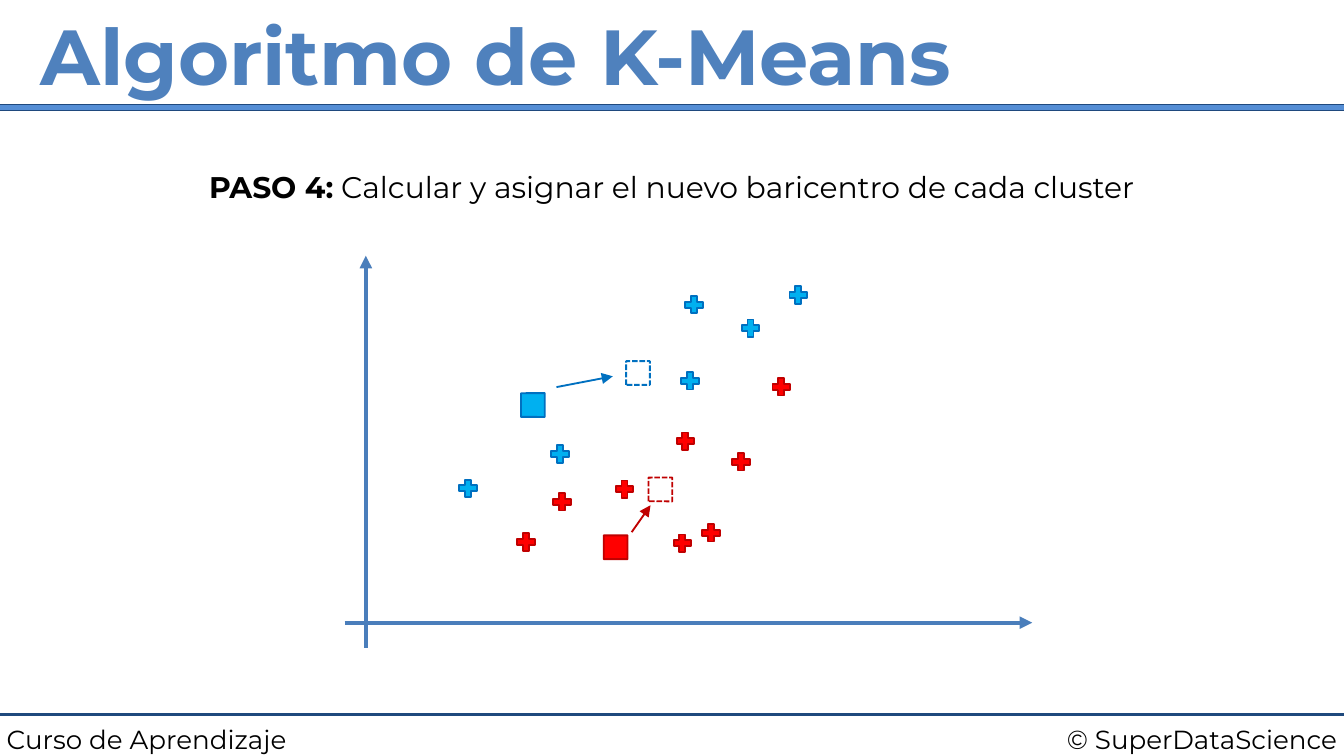
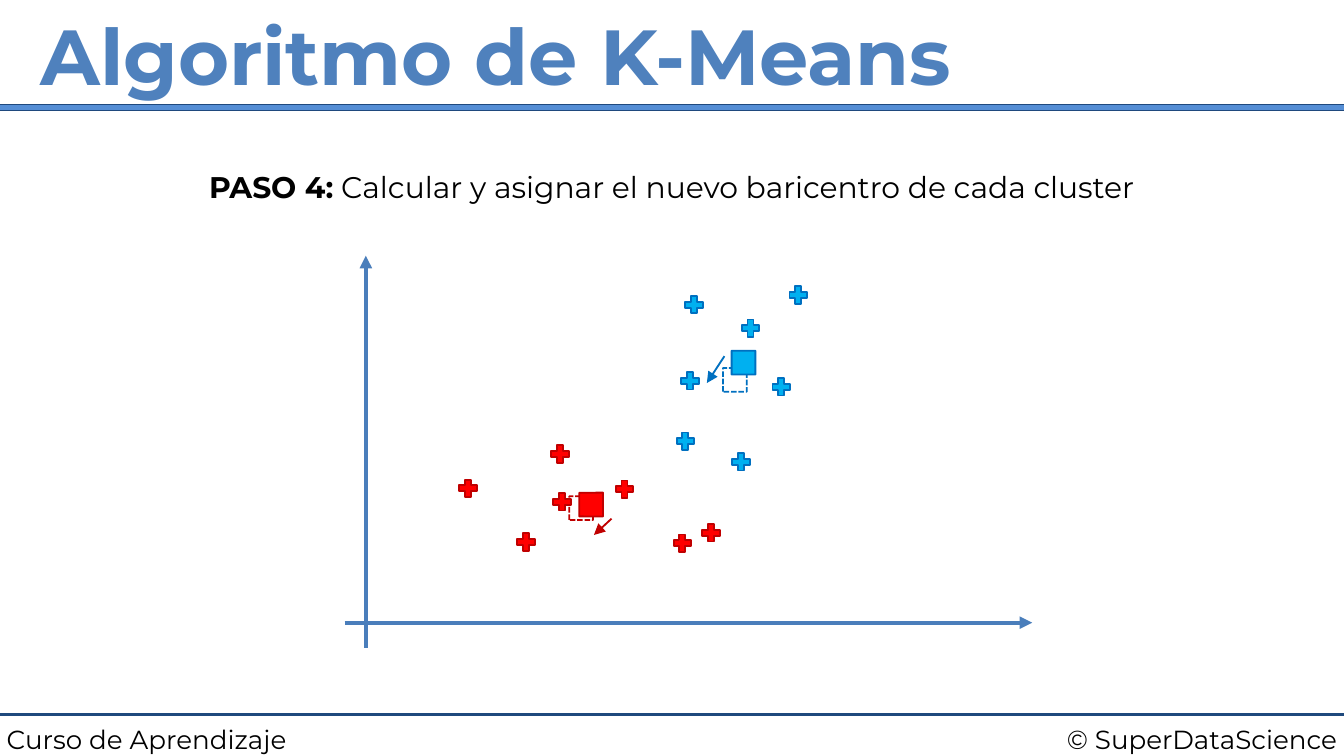
"""Build two slides showing how K-Means moves the centroid of each cluster."""
import pptx
import pptx.dml.color
import pptx.enum.dml
import pptx.enum.shapes
import pptx.enum.text
import pptx.oxml
import pptx.oxml.ns
import pptx.util

Pt = pptx.util.Pt
Shape = pptx.enum.shapes.MSO_SHAPE
Align = pptx.enum.text.PP_ALIGN

FONT = "Montserrat"
CROSS_SIZE = 9.4
CENTROID_SIZE = 18
BLUE = ("00B0F0", "0070C0")
RED = ("FF0000", "C00000")

ALWAYS_BLUE = [(369.6, 204), (402.1, 175.9), (427.7, 158), (371.8, 163.2)]
ALWAYS_RED = [(281.8, 290.4), (381, 285.4), (301, 268.8), (334.6, 262.1), (365.6, 291.1)]
RED_TO_BLUE = [(418.6, 207.2), (367.2, 236.4), (397, 247.4)]
BLUE_TO_RED = [(250.8, 261.7), (300.1, 243.2)]

# Each cluster: colours, points, old centroid, new centroid, arrow start and end
ITERATIONS = [
    [
        (RED, ALWAYS_RED + RED_TO_BLUE, (329.8, 293.2), (353.8, 262.2),
         (338.4, 285.1, 348.5, 270.7)),
        (BLUE, ALWAYS_BLUE + BLUE_TO_RED, (285.5, 217), (341.8, 199.8),
         (298.1, 207.4, 328.3, 201.6)),
    ],
    [
        (RED, ALWAYS_RED + BLUE_TO_RED, (316.7, 270.3), (311.3, 272.2),
         (327.6, 277.9, 318.2, 286.6)),
        (BLUE, ALWAYS_BLUE + RED_TO_BLUE, (398.3, 194.3), (393.7, 203.5),
         (388.1, 190.8, 378.7, 205.2)),
    ],
]

FRAME_TEXTS = [
    (0, 383.8, 234, 24.5, 14, Align.LEFT, [("Curso de Aprendizaje", False)]),
    (510, 383.8, 210, 24.5, 14, Align.RIGHT, [("© SuperDataScience", False)]),
    (0, 86.8, 720, 26, 16, Align.CENTER,
     [("PASO 4:", True), (" Calcular y asignar el nuevo baricentro de cada cluster", False)]),
]


def paint(color_format, color):
    """Set a fill, line or font colour from a hex string."""
    if hasattr(color_format, "solid"):
        color_format.solid()
        color_format = color_format.fore_color
    color_format.rgb = pptx.dml.color.RGBColor.from_string(color)


def add_line(slide, ends, color, width, arrow=True):
    """Draw a straight line, with an arrowhead at its end if asked."""
    line = slide.shapes.add_connector(
        pptx.enum.shapes.MSO_CONNECTOR.STRAIGHT, *map(Pt, ends))
    paint(line.line.fill, color)
    line.line.width = Pt(width)
    if arrow:
        head = pptx.oxml.parse_xml(
            f'<a:tailEnd {pptx.oxml.ns.nsdecls("a")} type="triangle"/>')
        line._element.spPr.find(pptx.oxml.ns.qn("a:ln")).append(head)
    line._element.spPr.append(
        pptx.oxml.parse_xml(f'<a:effectLst {pptx.oxml.ns.nsdecls("a")}/>'))


presentation = pptx.Presentation()
presentation.slide_width = Pt(720)
presentation.slide_height = Pt(405)

for clusters in ITERATIONS:
    slide = presentation.slides.add_slide(presentation.slide_layouts[5])

    title = slide.shapes.title
    title.left, title.top, title.width, title.height = map(Pt, (18, 0, 684, 58))
    frame = title.text_frame
    frame.text = "Algoritmo de K-Means"
    frame.auto_size = pptx.enum.text.MSO_AUTO_SIZE.NONE
    frame.vertical_anchor = pptx.enum.text.MSO_ANCHOR.MIDDLE
    frame.margin_left = frame.margin_right = frame.margin_top = frame.margin_bottom = Pt(3.6)
    paragraph = frame.paragraphs[0]
    paragraph.alignment = Align.LEFT
    paragraph.font.name = FONT
    paragraph.font.size = Pt(41.8)
    paragraph.font.bold = True
    paint(paragraph.font.color, "4F81BD")

    band = slide.shapes.add_shape(Shape.RECTANGLE, *map(Pt, (-3, 56.1, 726, 3.3)))
    band.shadow.inherit = False
    paint(band.fill, "558ED5")
    paint(band.line.fill, "1F497D")
    band.line.width = Pt(0.75)
    add_line(slide, (0, 383, 720, 383), "1F497D", 1.5, arrow=False)

    for left, top, width, height, size, alignment, runs in FRAME_TEXTS:
        box = slide.shapes.add_textbox(*map(Pt, (left, top, width, height)))
        frame = box.text_frame
        frame.word_wrap = True
        frame.auto_size = pptx.enum.text.MSO_AUTO_SIZE.SHAPE_TO_FIT_TEXT
        frame.margin_left = frame.margin_right = frame.margin_top = frame.margin_bottom = Pt(3.6)
        paragraph = frame.paragraphs[0]
        paragraph.alignment = alignment
        paragraph.font.name = FONT
        paragraph.font.size = Pt(size)
        paint(paragraph.font.color, "000000")
        for text, bold in runs:
            run = paragraph.add_run()
            run.text = text
            run.font.bold = bold

    for axis in [(196, 347, 196, 137), (184.6, 333.6, 553, 333.6)]:
        add_line(slide, axis, "4A7EBB", 2.25)

    markers = []
    for colors, points, old, new, arrow in clusters:
        markers.append((Shape.DIAMOND, CENTROID_SIZE, new, None, colors[1]))
    for colors, points, old, new, arrow in clusters:
        markers += [(Shape.CROSS, CROSS_SIZE, point, *colors) for point in points]
    for colors, points, old, new, arrow in clusters:
        markers.append((Shape.DIAMOND, CENTROID_SIZE, old, *colors))

    for kind, size, (x, y), fill, outline in markers:
        marker = slide.shapes.add_shape(
            kind, Pt(x - size / 2), Pt(y - size / 2), Pt(size), Pt(size))
        marker.shadow.inherit = False
        paint(marker.line.fill, outline)
        marker.line.width = Pt(1)
        if kind == Shape.CROSS:
            marker.adjustments[0] = 0.33
        else:
            marker.rotation = 315
        if fill:
            paint(marker.fill, fill)
        else:
            marker.fill.background()
            marker.line.dash_style = pptx.enum.dml.MSO_LINE.SQUARE_DOT

    for colors, points, old, new, arrow in clusters:
        add_line(slide, arrow, colors[1], 1)

presentation.save("out.pptx")
